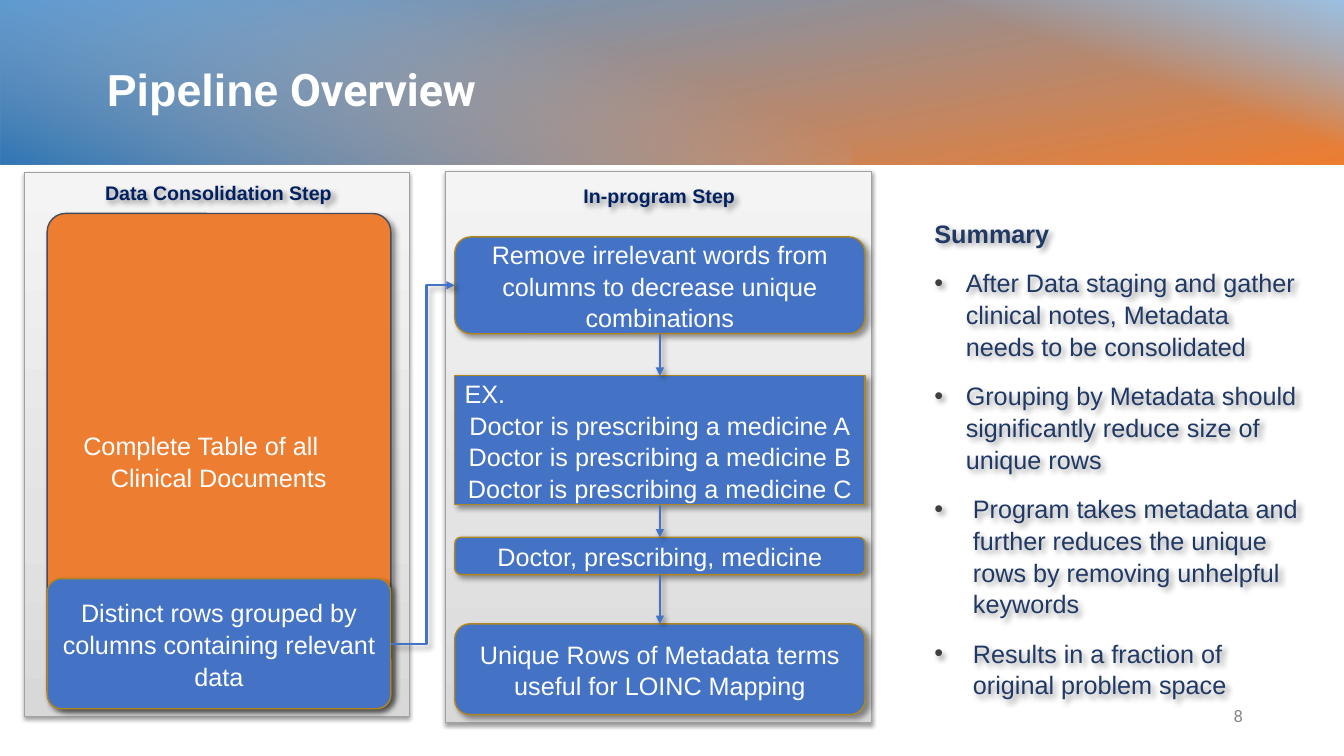
from dataclasses import dataclass

from lxml import etree
from pptx import Presentation
from pptx import util as u
from pptx.dml.color import RGBColor
from pptx.enum import shapes, text
from pptx.oxml.ns import qn

NAVY, WHITE, BLUE, ORANGE, GOLD = "203864", "FFFFFF", "4472C4", "ED7D31", "AF8620"
LINE_SPACING = 1.05
CENTER, LEFT = text.PP_ALIGN.CENTER, text.PP_ALIGN.LEFT
RECT, ROUNDED = shapes.MSO_SHAPE.RECTANGLE, shapes.MSO_SHAPE.ROUNDED_RECTANGLE
STRAIGHT, ELBOW = shapes.MSO_CONNECTOR.STRAIGHT, shapes.MSO_CONNECTOR.ELBOW


@dataclass(frozen=True)
class Area:
    left: float
    top: float
    width: float
    height: float

    def lengths(self) -> list:
        return [u.Cm(side) for side in (self.left, self.top, self.width, self.height)]


@dataclass(frozen=True)
class Shadow:
    alpha: int
    blur: float
    distance: float
    angle: int


@dataclass(frozen=True)
class Stop:
    position: int
    color: str
    alpha: int = 100


@dataclass(frozen=True)
class Gradient:
    area: Area
    stops: tuple
    angle: int
    rotation: int = 0


@dataclass(frozen=True)
class Step:
    area: Area
    lines: tuple
    corner: float = 0.167
    fill: str = BLUE
    outline: str = GOLD


SOFT, DEEP = Shadow(38, 3.1, 1.6, 90), Shadow(40, 4, 3, 45)


def color(value: str) -> RGBColor:
    return RGBColor.from_string(value)


def add_node(parent, tag: str, **attributes):
    return etree.SubElement(parent, qn(tag), {key: str(value) for key, value in attributes.items()})


def cast_shadow(item, shadow: Shadow) -> None:
    properties = item.element.spPr
    effects = properties.find(qn("a:effectLst"))
    if effects is None:
        effects = add_node(properties, "a:effectLst")
    outer = add_node(effects, "a:outerShdw", blurRad=u.Pt(shadow.blur), dist=u.Pt(shadow.distance),
                     dir=shadow.angle * 60000, algn="ctr", rotWithShape=0)
    black = add_node(outer, "a:srgbClr", val="000000")
    add_node(black, "a:alpha", val=shadow.alpha * 1000)


def add_gradient(page, gradient: Gradient):
    box = page.shapes.add_shape(RECT, *gradient.area.lengths())
    box.rotation = gradient.rotation
    box.shadow.inherit = False
    box.line.fill.background()
    box.fill.background()
    fill = etree.Element(qn("a:gradFill"), rotWithShape="1")
    stop_list = add_node(fill, "a:gsLst")
    for stop in gradient.stops:
        mark = add_node(stop_list, "a:gs", pos=stop.position * 1000)
        tone = add_node(mark, "a:srgbClr", val=stop.color)
        if stop.alpha < 100:
            add_node(tone, "a:alpha", val=stop.alpha * 1000)
    add_node(fill, "a:lin", ang=gradient.angle * 60000, scaled=0)
    properties = box.element.spPr
    properties.replace(properties.find(qn("a:noFill")), fill)
    return box


def add_span(para, words: str, size: float, tone: str, bold: bool = False, face: str = "Arial") -> None:
    span = para.add_run()
    span.text = words
    span.font.size, span.font.bold, span.font.name = u.Pt(size), bold, face
    span.font.color.rgb = color(tone)


def add_step(page, step: Step):
    box = page.shapes.add_shape(ROUNDED if step.corner else RECT, *step.area.lengths())
    if step.corner:
        box.adjustments[0] = step.corner
    box.fill.solid()
    box.fill.fore_color.rgb = color(step.fill)
    box.line.color.rgb = color(step.outline)
    box.line.width = u.Pt(1)
    box.shadow.inherit = False
    cast_shadow(box, DEEP)
    frame = box.text_frame
    frame.word_wrap = True
    frame.vertical_anchor = text.MSO_ANCHOR.MIDDLE
    for index, words in enumerate(step.lines):
        para = frame.add_paragraph() if index else frame.paragraphs[0]
        para.alignment = LEFT if words == "EX." else CENTER
        para.line_spacing = LINE_SPACING
        add_span(para, words, 18, WHITE)
    return box


def add_arrow(page, kind, start, start_side: int, end, end_side: int):
    arrow = page.shapes.add_connector(kind, 0, 0, 0, 0)
    arrow.begin_connect(start, start_side)
    arrow.end_connect(end, end_side)
    arrow.line.color.rgb = color(BLUE)
    arrow.line.width = u.Pt(1.5)
    add_node(arrow.element.spPr.find(qn("a:ln")), "a:tailEnd", type="triangle")
    cast_shadow(arrow, DEEP)
    return arrow


def add_label(page, area: Area, words: str, size: float, tone: str, bold: bool, face: str):
    box = page.shapes.add_textbox(*area.lengths())
    box.text_frame.vertical_anchor = text.MSO_ANCHOR.MIDDLE
    para = box.text_frame.paragraphs[0]
    para.alignment = CENTER
    add_span(para, words, size, tone, bold, face)
    return box


def add_summary(page, area: Area, bullets: tuple) -> None:
    box = page.shapes.add_textbox(*area.lengths())
    box.shadow.inherit = False
    cast_shadow(box, DEEP)
    frame = box.text_frame
    frame.word_wrap = True
    frame.vertical_anchor = text.MSO_ANCHOR.MIDDLE
    frame.margin_left, frame.margin_right = u.Cm(1.27), u.Cm(0.51)
    frame.margin_top, frame.margin_bottom = u.Cm(0.76), 0
    heading = frame.paragraphs[0]
    heading.line_spacing = LINE_SPACING
    add_span(heading, "Summary", 18, NAVY, True)
    for indent, words in bullets:
        para = frame.add_paragraph()
        para.line_spacing = LINE_SPACING
        para.space_before = u.Pt(12.6)
        properties = para._p.get_or_add_pPr()
        properties.set("marL", str(u.Cm(indent)))
        properties.set("indent", str(-u.Cm(indent)))
        add_node(add_node(properties, "a:buClr"), "a:srgbClr", val="3F3F3F")
        add_node(properties, "a:buFont", typeface="Arial")
        add_node(properties, "a:buChar", char="•")
        add_span(para, words, 18, NAVY)


def main() -> None:
    deck = Presentation()
    deck.slide_width, deck.slide_height = u.Cm(33.87), u.Cm(19.05)
    page = deck.slides.add_slide(deck.slide_layouts[5])

    # Grey panels
    greys = (Stop(0, "D8D8D8"), Stop(35, "E3E3E3"), Stop(100, "F4F4F4"))
    for area in (Area(11.23, 4.32, 10.74, 13.89), Area(0.61, 4.34, 9.7, 13.72)):
        panel = add_gradient(page, Gradient(area, greys, 270))
        panel.line.color.rgb = color("A1A1A1")
        panel.line.width = u.Pt(0.75)
        cast_shadow(panel, SOFT)

    # Data consolidation
    table = add_step(page, Step(Area(1.19, 5.38, 8.66, 12.47),
                                ("Complete Table of all Clinical Documents",), 0.053, ORANGE, "484C5A"))
    table.text_frame.margin_right = u.Cm(1.17)
    hanging = table.text_frame.paragraphs[0]._p.get_or_add_pPr()
    hanging.set("marL", str(u.Cm(0.91)))
    hanging.set("indent", str(-u.Cm(0.91)))
    distinct = add_step(page, Step(Area(1.19, 14.58, 8.66, 3.28),
                                   ("Distinct rows grouped by columns containing relevant data",), 0.108))

    # In-program flow
    examples = tuple(f"Doctor is prescribing a medicine {letter}" for letter in "ABC")
    flow = [add_step(page, Step(Area(11.46, top, 10.34, height), lines, corner))
            for top, height, corner, lines in (
                (5.97, 2.44, 0.167, ("Remove irrelevant words from columns to decrease unique combinations",)),
                (9.47, 3.25, 0, ("EX.", *examples)),
                (13.54, 0.94, 0.167, ("Doctor, prescribing, medicine",)),
                (15.72, 2.29, 0.167, ("Unique Rows of Metadata terms useful for LOINC Mapping",)))]
    for upper, lower in zip(flow, flow[1:]):
        add_arrow(page, STRAIGHT, upper, 2, lower, 0)
    bend = add_arrow(page, ELBOW, distinct, 3, flow[0], 1)
    geometry = bend.element.spPr.find(qn("a:prstGeom"))
    add_node(geometry.find(qn("a:avLst")), "a:gd", name="adj1", fmla="val 55800")

    # Summary
    add_summary(page, Area(22.28, 3.45, 11.05, 15.44), (
        (0.79, "After Data staging and gather clinical notes, Metadata needs to be consolidated"),
        (0.79, "Grouping by Metadata should significantly reduce size of unique rows"),
        (0.97, "Program takes metadata and further reduces the unique rows by removing unhelpful keywords"),
        (0.97, "Results in a fraction of original problem space")))

    # Header band
    sky = "9CC2E5"
    for band in (
            Gradient(Area(14.83, -14.91, 4.22, 33.88), (Stop(0, "5B9BD5"), Stop(100, ORANGE)), 170, 270),
            Gradient(Area(24.77, -5, 4.19, 14.07), (Stop(0, sky, 0), Stop(59, sky, 0), Stop(100, sky)), 20, 270),
            Gradient(Area(8.61, -8.69, 4.22, 21.44), (Stop(0, sky, 0), Stop(29, sky, 0), Stop(100, "2E75B5")), 20, 90)):
        add_gradient(page, band)

    # Title, in front of the band
    title = page.shapes.title
    title.left, title.top, title.width, title.height = Area(2.44, 0.84, 29.11, 2.79).lengths()
    title.element.getparent().append(title.element)
    title.text_frame.auto_size = text.MSO_AUTO_SIZE.NONE
    title.text_frame.vertical_anchor = text.MSO_ANCHOR.MIDDLE
    para = title.text_frame.paragraphs[0]
    para.alignment = LEFT
    add_span(para, "Pipeline", 32, WHITE, True)
    add_span(para, " Overview", 32, WHITE, True, "Roboto")

    # Panel headings and page number
    for area, words in ((Area(2.26, 4.42, 6.5, 0.86), "Data Consolidation Step"),
                        (Area(13.54, 4.5, 6.15, 0.86), "In-program Step")):
        label = add_label(page, area, words, 14, "002060", True, "Arial")
        label.shadow.inherit = False
        cast_shadow(label, DEEP)
    add_label(page, Area(30.84, 17.55, 0.69, 0.97), "8", 12, "888888", False, "Roboto")

    deck.save("out.pptx")


if __name__ == "__main__":
    main()
